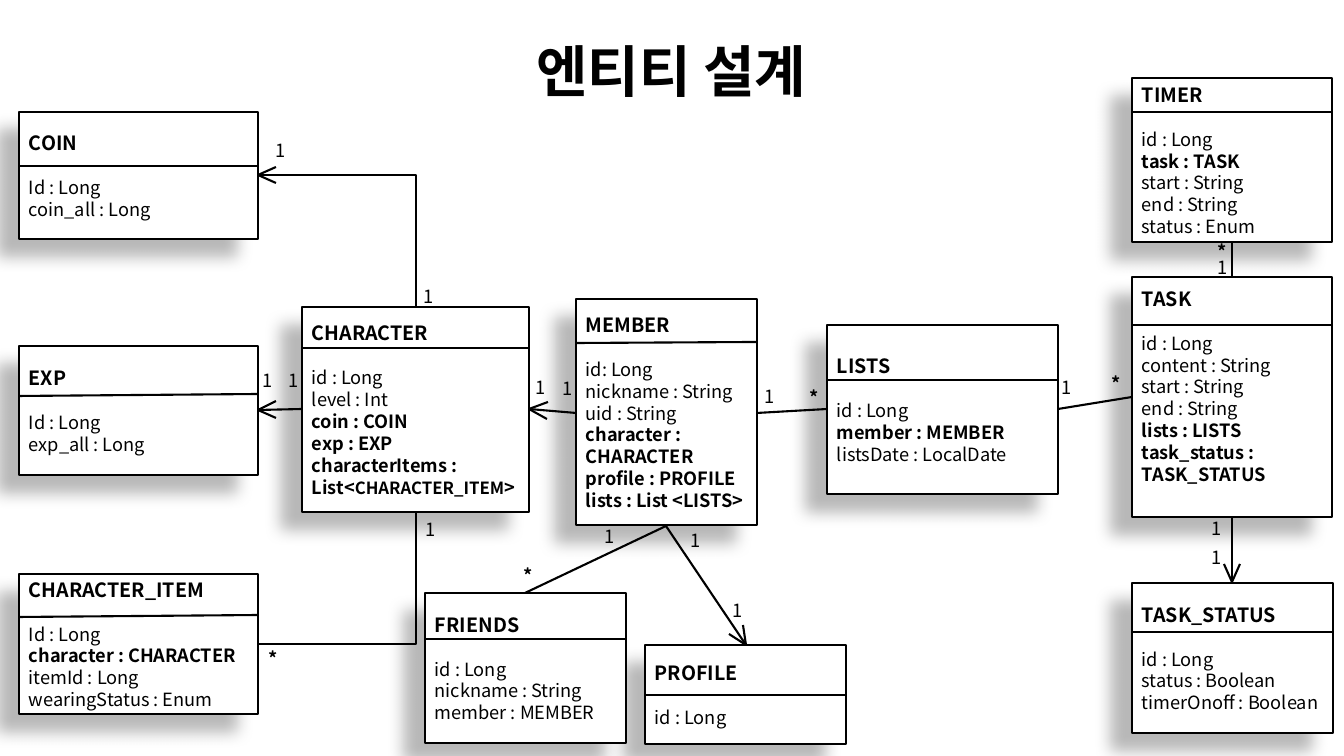
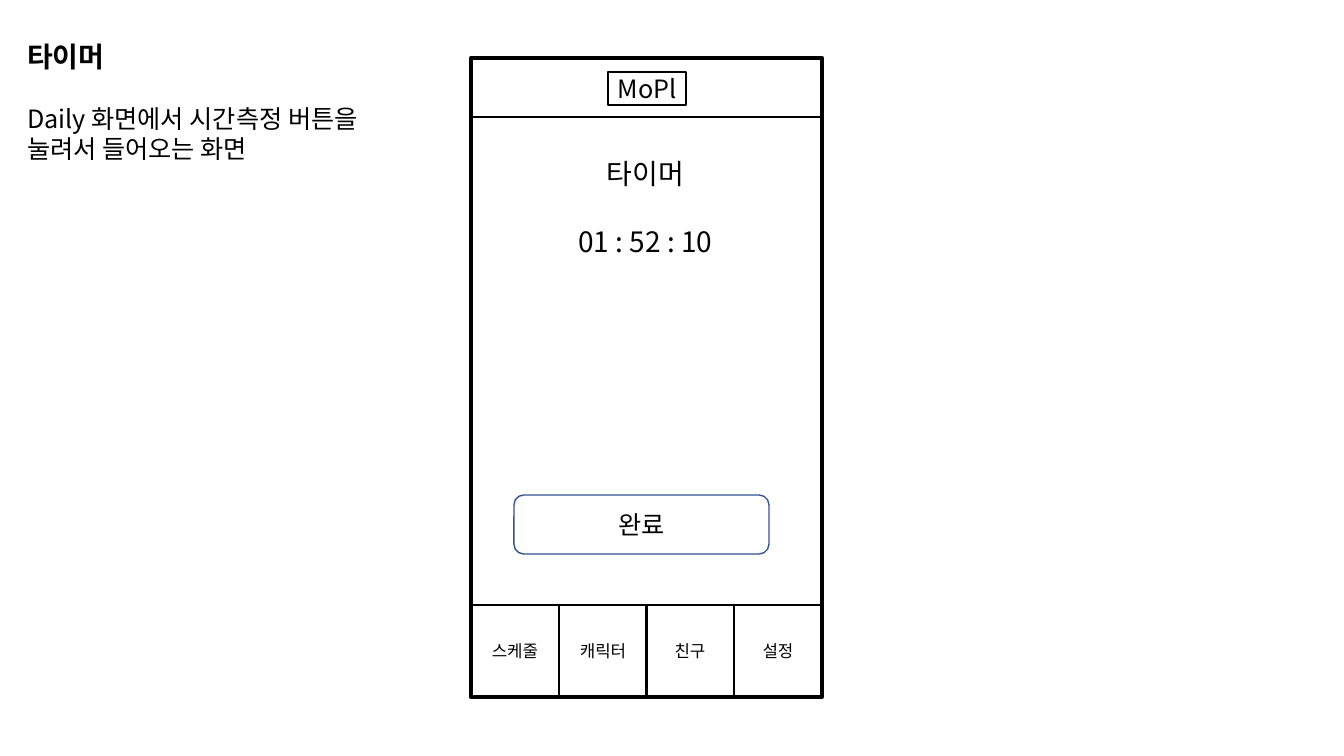
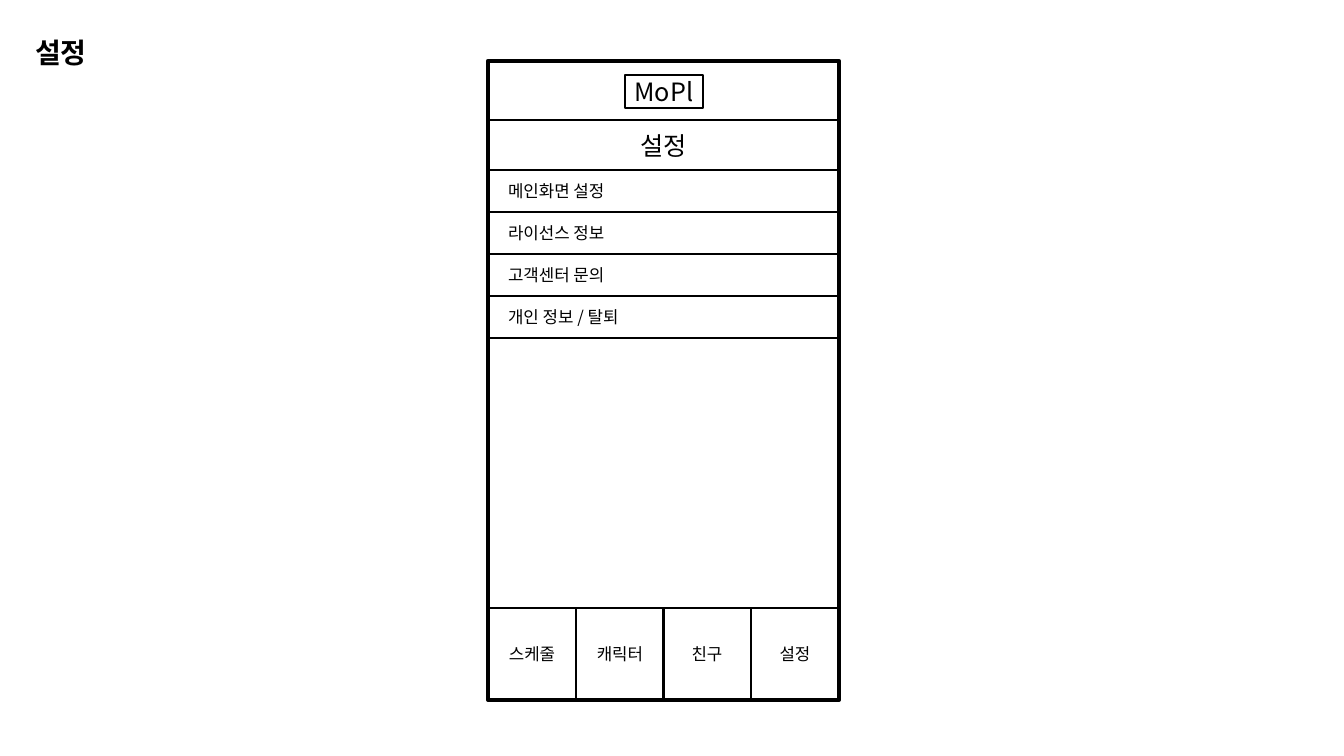
"""Build three slides: an entity diagram and two app wireframes."""
from math import atan2, cos, sin

from lxml.etree import SubElement
from pptx import Presentation
from pptx.dml.color import RGBColor
from pptx.enum.shapes import MSO_CONNECTOR, MSO_SHAPE
from pptx.enum.text import MSO_ANCHOR, MSO_AUTO_SIZE, PP_ALIGN
from pptx.oxml.ns import qn
from pptx.util import Emu, Pt

SCALE = 914400 / 100.8
FONT = "Noto Sans CJK KR"
BLACK = RGBColor(0x00, 0x00, 0x00)
WHITE = RGBColor(0xFF, 0xFF, 0xFF)
BLUE = RGBColor(0x32, 0x54, 0x91)
CENTER = PP_ALIGN.CENTER
BADGE = "MoPl"
TABS = ["스케줄", "캐릭터", "친구", "설정"]
ROWS = ["메인화면 설정", "라이선스 정보", "고객센터 문의", "개인 정보 / 탈퇴"]

# Fields: box, divider height at left and right, name, lines.
# A leading * is bold; text between bars is one point smaller.
ENTITIES = [
    ((19, 112, 239, 127), (166, 166), "COIN", ["Id : Long", "coin_all : Long"]),
    ((19, 346, 239, 129), (396, 394), "EXP", ["Id : Long", "exp_all : Long"]),
    ((19, 574, 239, 140), (617, 615), "CHARACTER_ITEM",
     ["Id : Long", "*character : CHARACTER", "itemId : Long",
      "wearingStatus : Enum"]),
    ((302, 307, 227, 205), (348, 348), "CHARACTER",
     ["id : Long", "level : Int", "*coin : COIN", "*exp : EXP",
      "*characterItems : List<|CHARACTER_ITEM|>"]),
    ((576, 299, 181, 226), (343, 342), "MEMBER",
     ["id: Long", "nickname : String", "uid : String",
      "*character : CHARACTER", "*profile : PROFILE",
      "*lists : List <LISTS>"]),
    ((645, 645, 201, 99), (695, 695), "PROFILE", ["id : Long"]),
    ((827, 325, 231, 169), (380, 380), "LISTS",
     ["id : Long", "*member : MEMBER", "listsDate : LocalDate"]),
    ((1132, 277, 200, 240), (325, 325), "TASK",
     ["id : Long", "content : String", "start : String", "end : String",
      "*lists : LISTS", "*task_status : TASK_STATUS"]),
    ((1132, 583, 201, 150), (632, 632), "TASK_STATUS",
     ["id : Long", "status : Boolean", "timerOnoff : Boolean"]),
    ((1132, 78, 200, 164), (112, 112), "TIMER",
     ["id : Long", "*task : TASK", "start : String", "end : String",
      "status : Enum"]),
    ((425, 593, 201, 150), (639, 639), "FRIENDS",
     ["id : Long", "nickname : String", "member : MEMBER"]),
]
LINKS = [((1232, 242), (1232, 277)), ((757, 413), (827, 409)),
         ((1058, 409), (1132, 397)), ((666, 526), (525, 593))]
ARROWS = [((666, 526), (746, 645)), ((1232, 517), (1232, 582)),
          ((302, 409), (258, 410)), ((576, 413), (529, 409))]
ELBOWS = [((258, 175), (416, 307)), ((259, 644), (416, 512))]
ONES = [(279, 364), (253, 364), (553, 372), (414, 280), (416, 513),
        (266, 134), (681, 524), (723, 594), (755, 380), (1202, 512),
        (1202, 541), (1208, 251), (526, 371), (1052, 371), (595, 520)]
STARS = [(259, 642), (800, 381), (1208, 235), (1102, 367), (514, 559)]


def px(*values):
    """Turn pixels into EMU lengths."""
    return [Emu(round(v * SCALE)) for v in values]


def write(frame, text, size=13, bold=False, align=PP_ALIGN.LEFT, gap=0):
    """Add one paragraph of formatted text to a frame."""
    para = frame.paragraphs[-1]
    if para.runs:
        para = frame.add_paragraph()
    para.alignment = align
    para.space_before = Pt(gap)
    for i, part in enumerate(text.split("|")):
        run = para.add_run()
        run.text = part
        font = run.font
        font.size, font.bold, font.name = Pt(size - i % 2), bold, FONT
        font.color.rgb = BLACK
        SubElement(run._r.get_or_add_rPr(), qn("a:ea"), typeface=FONT)
    return para


def place(holder, box):
    """Move a placeholder and return its plain text frame."""
    holder.left, holder.top, holder.width, holder.height = px(*box)
    frame = holder.text_frame
    frame.word_wrap = True
    frame.auto_size = MSO_AUTO_SIZE.NONE
    frame.vertical_anchor = MSO_ANCHOR.TOP
    return frame


def head(slide, text, box, size=20, align=PP_ALIGN.LEFT):
    """Fill the slide title."""
    write(place(slide.shapes.title, box), text, size=size, bold=True,
          align=align)


def label(slide, box):
    """Add a wrapping text box and return its frame."""
    frame = slide.shapes.add_textbox(*px(*box)).text_frame
    frame.word_wrap = True
    return frame


def panel(slide, box, kind=MSO_SHAPE.RECTANGLE, fill=None, color=BLACK,
          width=1):
    """Add an outlined shape without a shadow."""
    shape = slide.shapes.add_shape(kind, *px(*box))
    shape.shadow.inherit = False
    if fill is None:
        shape.fill.background()
    else:
        shape.fill.solid()
        shape.fill.fore_color.rgb = fill
    shape.line.color.rgb = color
    shape.line.width = Pt(width)
    shape.text_frame.word_wrap = True
    shape.text_frame.vertical_anchor = MSO_ANCHOR.MIDDLE
    return shape


def shade(shape):
    """Cast a soft shadow to the lower left."""
    effects = shape._element.spPr.find(qn("a:effectLst"))
    outer = SubElement(effects, qn("a:outerShdw"), blurRad="150000",
                       dist="250000", dir="8460000", algn="tr",
                       rotWithShape="0")
    color = SubElement(outer, qn("a:srgbClr"), val=str(BLACK))
    SubElement(color, qn("a:alpha"), val="28000")


def line(slide, start, end, kind=MSO_CONNECTOR.STRAIGHT):
    """Draw a connector between two points."""
    link = slide.shapes.add_connector(kind, *px(*start, *end))
    link.line.color.rgb = BLACK
    link.line.width = Pt(1.5)
    SubElement(link._element.spPr, qn("a:effectLst"))
    return link


def elbow(slide, start, end):
    """Draw a connector with one corner, first across and then up or down."""
    link = line(slide, start, end, MSO_CONNECTOR.ELBOW)
    link._element.spPr.find(qn("a:prstGeom")).set("prst", "bentConnector2")


def barb(slide, tip, tail):
    """Draw an open arrowhead at the tip of a line from the tail."""
    angle = atan2(tail[1] - tip[1], tail[0] - tip[0])
    for turn in (-0.42, 0.42):
        line(slide, tip, (round(tip[0] + 20 * cos(angle + turn)),
                          round(tip[1] + 20 * sin(angle + turn))))


def entity(slide, box, rule, name, lines):
    """Draw an entity box with its name, divider and fields."""
    shape = panel(slide, box, fill=WHITE)
    shade(shape)
    frame = shape.text_frame
    if name == "TASK":
        frame.margin_bottom = px(27)[0]
    write(frame, name, size=14, bold=True)
    for i, text in enumerate(lines):
        write(frame, text.lstrip("*"), bold=text.startswith("*"),
              gap=0 if i else 15.5)
    left, _, width, _ = box
    line(slide, (left, rule[0]), (left + width, rule[1]))


def phone(slide, left, top):
    """Draw the phone frame with its header, badge and tabs."""
    panel(slide, (left, top, 351, 639), width=3)
    panel(slide, (left, top, 351, 59))
    badge = panel(slide, (left + 137, top + 14, 78, 33)).text_frame
    badge.margin_left = badge.margin_right = 0
    write(badge, BADGE, size=18, align=CENTER)
    for i, text in enumerate(TABS):
        tab = panel(slide, (left + round(i * 87.7), top + 547, 88, 92))
        write(tab.text_frame, text, size=12, align=CENTER)


def diagram(slide):
    """Build the entity diagram."""
    head(slide, "엔티티 설계", (32, 31, 1279, 78), size=40, align=CENTER)
    for item in ENTITIES:
        entity(slide, *item)
    for start, end in LINKS + ARROWS:
        line(slide, start, end)
    for start, end in ARROWS:
        barb(slide, end, start)
    for start, end in ELBOWS:
        elbow(slide, start, end)
    barb(slide, (258, 175), (416, 175))
    for mark, spots in (("1", ONES), ("*", STARS)):
        for left, top in spots:
            write(label(slide, (left, top, 31, 32)), mark, bold=mark == "*")


def timer(slide):
    """Build the timer screen."""
    head(slide, "타이머", (17, 34, 429, 44))
    body = place(slide.placeholders[1], (17, 98, 429, 70))
    for text in ("Daily 화면에서 시간측정 버튼을", "눌려서 들어오는 화면"):
        props = write(body, text, size=18)._p.get_or_add_pPr()
        props.set("marL", "0")
        props.set("indent", "0")
        SubElement(props, qn("a:buNone"))
    phone(slide, 471, 58)
    clock = label(slide, (518, 152, 255, 112))
    write(clock, "타이머", size=20, align=CENTER)
    write(clock, "01 : 52 : 10", size=20, align=CENTER, gap=24)
    done = panel(slide, (514, 495, 255, 59), MSO_SHAPE.ROUNDED_RECTANGLE,
                 fill=WHITE, color=BLUE)
    write(done.text_frame, "완료", size=18, align=CENTER)


def options(slide):
    """Build the settings screen."""
    head(slide, "설정", (25, 30, 168, 44))
    phone(slide, 488, 61)
    top = panel(slide, (488, 120, 351, 50))
    write(top.text_frame, "설정", size=18, align=CENTER)
    for i, text in enumerate(ROWS):
        row = panel(slide, (488, 170 + 42 * i, 350, 42))
        row.text_frame.margin_left = px(20)[0]
        write(row.text_frame, text, size=12)


def main():
    """Build and save the slides."""
    deck = Presentation()
    deck.slide_width, deck.slide_height = px(1344, 756)
    for build, layout in ((diagram, 5), (timer, 1), (options, 5)):
        build(deck.slides.add_slide(deck.slide_layouts[layout]))
    deck.save("out.pptx")


main()
